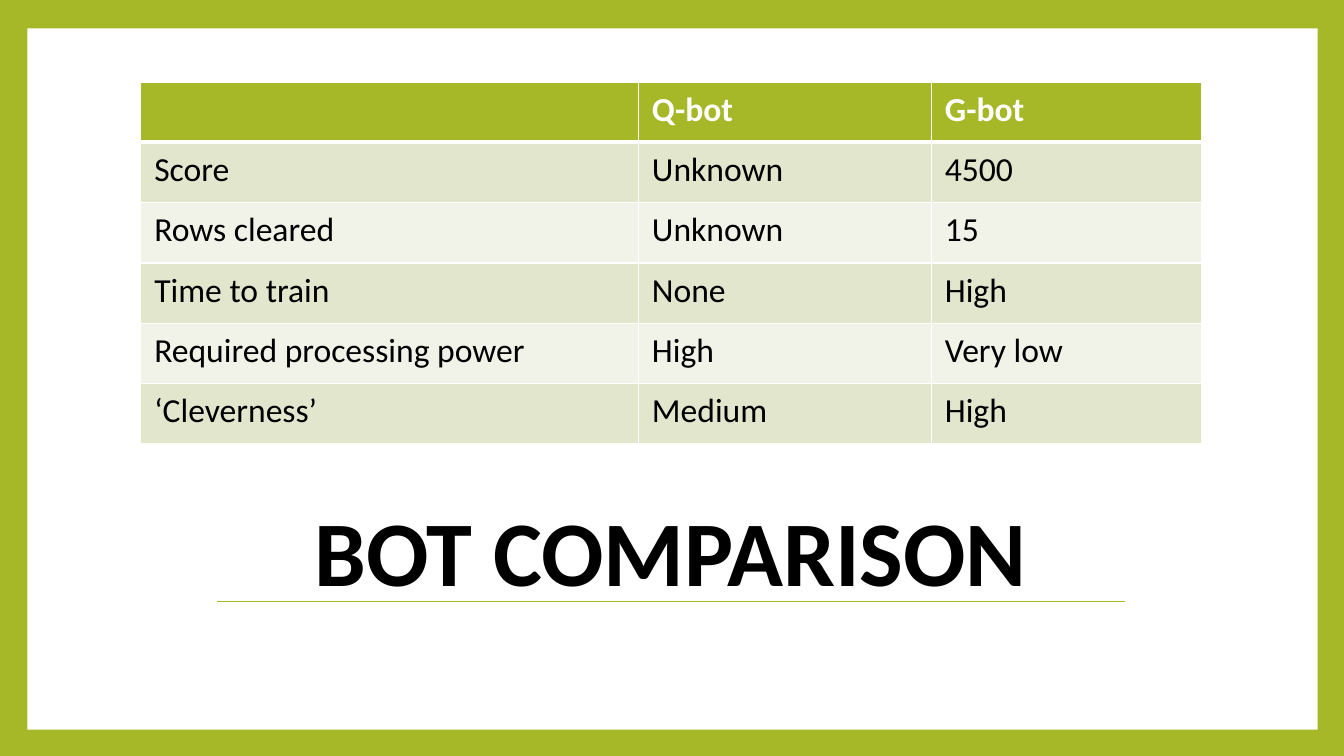
from lxml.etree import SubElement
from pptx import Presentation
from pptx.dml.color import RGBColor
from pptx.enum.shapes import MSO_CONNECTOR, MSO_SHAPE
from pptx.enum.text import MSO_ANCHOR, MSO_AUTO_SIZE, PP_ALIGN
from pptx.oxml.ns import qn
from pptx.util import Emu, Pt

PX = 9525
FONT = "Calibri"
GREEN = RGBColor(0xA6, 0xB7, 0x27)
BAND_DARK = RGBColor(0xE1, 0xE6, 0xCD)
BAND_LIGHT = RGBColor(0xF1, 0xF3, 0xE8)
WHITE = RGBColor(0xFF, 0xFF, 0xFF)
BLACK = RGBColor(0x00, 0x00, 0x00)

COMPARISON = [
    ("", "Q-bot", "G-bot"),
    ("Score", "Unknown", "4500"),
    ("Rows cleared", "Unknown", "15"),
    ("Time to train", "None", "High"),
    ("Required processing power", "High", "Very low"),
    ("‘Cleverness’", "Medium", "High"),
]
COLUMN_WIDTHS = (474, 279, 257)


def px(*lengths):
    """Turn pixel lengths into a list of EMU lengths."""
    return [Emu(round(length * PX)) for length in lengths]


def style_run(run, size, color, bold):
    """Apply font, size, colour and weight to a run."""
    run.font.name = FONT
    run.font.size = Pt(size)
    run.font.color.rgb = color
    run.font.bold = bold


def add_panel(slide, box, color):
    """Draw a plain filled rectangle over the box."""
    panel = slide.shapes.add_shape(MSO_SHAPE.RECTANGLE, *px(*box))
    panel.shadow.inherit = False
    panel.fill.solid()
    panel.fill.fore_color.rgb = color
    panel.line.fill.background()


def add_frame(slide, box):
    """Fill the box with green and lay the white page inside it."""
    left, top, width, height = box
    slide.background.fill.solid()
    slide.background.fill.fore_color.rgb = GREEN
    add_panel(slide, box, GREEN)
    add_panel(slide, (left + 26, top + 27, width - 51, height - 52), WHITE)


def add_heading(slide, box):
    """Place the title in the box with a thin rule under its words."""
    left, top, width, height = box
    rule_y = top + height - 8
    rule = slide.shapes.add_connector(
        MSO_CONNECTOR.STRAIGHT, *px(left + 91, rule_y, left + width - 91, rule_y))
    rule.line.color.rgb = GREEN
    rule.line.width = Pt(0.79)
    SubElement(rule._element.spPr, qn("a:effectLst"))

    heading = slide.shapes.title
    slide.shapes._spTree.append(heading._element)
    heading.left, heading.top, heading.width, heading.height = px(*box)
    frame = heading.text_frame
    frame.text = "BOT COMPARISON"
    frame.word_wrap = True
    frame.auto_size = MSO_AUTO_SIZE.NONE
    frame.vertical_anchor = MSO_ANCHOR.BOTTOM
    words = frame.paragraphs[0]
    words.alignment = PP_ALIGN.CENTER
    words.line_spacing = 0.85
    style_run(words.runs[0], 66, BLACK, True)


def add_borders(cell, bottom_width):
    """Give a cell white borders, one point wide except at the bottom."""
    properties = cell._tc.get_or_add_tcPr()
    for side, width in (("L", 1), ("R", 1), ("T", 1), ("B", bottom_width)):
        border = SubElement(properties, qn(f"a:ln{side}"), w=str(Pt(width)))
        fill = SubElement(border, qn("a:solidFill"))
        SubElement(fill, qn("a:srgbClr"), val=str(WHITE))


def add_comparison(slide, box):
    """Fill the box with the banded table that compares the bots."""
    table = slide.shapes.add_table(
        len(COMPARISON), len(COLUMN_WIDTHS), *px(*box)).table
    for column, width in zip(table.columns, px(*COLUMN_WIDTHS)):
        column.width = width
    for row_index, entries in enumerate(COMPARISON):
        is_header = row_index == 0
        band = GREEN if is_header else BAND_DARK if row_index % 2 else BAND_LIGHT
        table.rows[row_index].height = px(box[3] / len(COMPARISON))[0]
        for column_index, entry in enumerate(entries):
            cell = table.cell(row_index, column_index)
            cell.margin_left, cell.margin_right = px(13, 13)
            cell.margin_top, cell.margin_bottom = px(7, 7)
            add_borders(cell, 3 if is_header else 1)
            cell.fill.solid()
            cell.fill.fore_color.rgb = band
            if entry:
                cell.text_frame.text = entry
                style_run(cell.text_frame.paragraphs[0].runs[0], 24,
                          WHITE if is_header else BLACK, is_header)


def main():
    """Build the bot comparison slide and save it."""
    deck = Presentation()
    deck.slide_width, deck.slide_height = px(1280, 720)
    slide = deck.slides.add_slide(deck.slide_layouts[5])
    add_frame(slide, (0, 0, 1280, 720))
    add_heading(slide, (116, 442, 1046, 139))
    add_comparison(slide, (134, 78, 1010, 345))
    deck.save("out.pptx")


if __name__ == "__main__":
    main()
